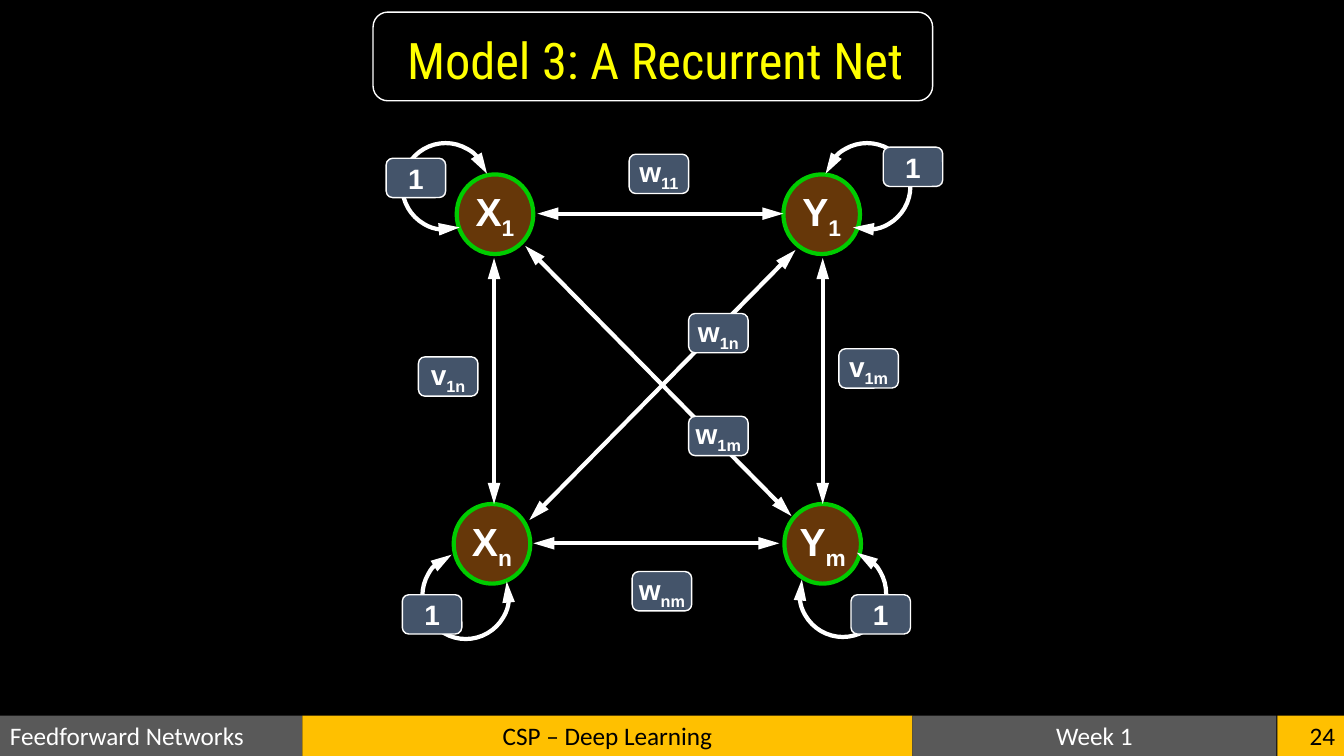
"""Build the slide showing a recurrent net with weighted links."""
from lxml import etree
from pptx import Presentation
from pptx.dml.color import RGBColor
from pptx.enum.shapes import MSO_CONNECTOR, MSO_SHAPE
from pptx.enum.text import MSO_ANCHOR, PP_ALIGN
from pptx.oxml.ns import qn
from pptx.util import Inches, Pt

RECT, ROUND = MSO_SHAPE.RECTANGLE, MSO_SHAPE.ROUNDED_RECTANGLE
OVAL, ARC = MSO_SHAPE.OVAL, MSO_SHAPE.ARC
STRAIGHT = MSO_CONNECTOR.STRAIGHT
LEFT, CENTER, RIGHT = PP_ALIGN.LEFT, PP_ALIGN.CENTER, PP_ALIGN.RIGHT
TOP, MIDDLE = MSO_ANCHOR.TOP, MSO_ANCHOR.MIDDLE

COLORS = {
    "black": "000000", "white": "FFFFFF", "yellow": "FFFF00", "gray": "595959",
    "gold": "FFC000", "orange": "FF8B17", "green": "00CC00", "slate": "44546A",
}
NODES = [
    (7.77, 1.73, "Y", "1"), (7.78, 5, "Y", "m"),
    (4.53, 1.73, "X", "1"), (4.5, 5, "X", "n"),
]
LINKS = [
    (5.33, 2.12, 7.77, 2.12), (5.29, 5.39, 7.73, 5.39),
    (4.9, 5, 4.9, 2.56), (8.16, 5, 8.16, 2.56),
    (5.25, 5.16, 7.89, 2.48), (7.85, 5.12, 5.21, 2.44),
]
LOOPS = [
    (3.99, 1.42, 71, 343), (4.19, 5.48, 341, 251),
    (7.93, 5.46, 289, 199), (8.17, 1.42, 197, 109),
]
WEIGHTS = [
    (6.24, 1.53, "w", "11"), (6.27, 5.67, "w", "nm"), (8.76, 1.46, "1", ""),
    (8.32, 3.46, "v", "1m"), (4.15, 3.54, "v", "1n"), (6.83, 3.11, "w", "1n"),
    (6.83, 4.13, "w", "1m"), (8.44, 5.9, "1", ""), (3.99, 5.9, "1", ""),
    (3.83, 1.57, "1", ""),
]
FOOTER = [
    (0, 3, "Feedforward Networks", "gray", "white", LEFT),
    (3, 6.05, "CSP – Deep Learning", "gold", "black", CENTER),
    (12.67, 0.67, "24", "gold", "black", RIGHT),
    (9.05, 3.61, "Week 1", "gray", "white", CENTER),
]


def rgb(name):
    """Return the named colour."""
    return RGBColor.from_string(COLORS[name])


def set_text(sp, text, sub="", size=18, font="Arial", color="white",
             bold=False, align=CENTER, anchor=MIDDLE, wrap=False):
    """Write text with an optional subscript into a shape."""
    tf = sp.text_frame
    tf.word_wrap = wrap
    tf.vertical_anchor = anchor
    p = tf.paragraphs[0]
    p.alignment = align
    for part, baseline in ((text, 0), (sub, -25000)):
        if not part:
            continue
        r = p.add_run()
        r.text = part
        r.font.size = Pt(size)
        r.font.name = font
        r.font.bold = bold
        r.font.color.rgb = rgb(color)
        if baseline:
            r._r.get_or_add_rPr().set("baseline", str(baseline))


def add_box(s, kind, x, y, w, h, fill, line=None, width=1):
    """Add a filled preset shape with an optional outline."""
    sp = s.shapes.add_shape(kind, Inches(x), Inches(y), Inches(w), Inches(h))
    sp.shadow.inherit = False
    sp.fill.solid()
    sp.fill.fore_color.rgb = rgb(fill)
    if line:
        sp.line.color.rgb = rgb(line)
        sp.line.width = Pt(width)
    else:
        sp.line.fill.background()
    return sp


def style_arrow(sp):
    """Give a line white ink, no shadow and a long arrowhead at both ends."""
    sp.line.color.rgb = rgb("white")
    sp.line.width = Pt(3)
    spPr = sp._element.spPr
    ln = spPr.find(qn("a:ln"))
    for end in ("a:headEnd", "a:tailEnd"):
        etree.SubElement(ln, qn(end), type="triangle", w="med", len="lg")
    etree.SubElement(spPr, qn("a:effectLst"))


def add_node(s, x, y, letter, sub):
    """Add a neuron as a translucent circle."""
    sp = add_box(s, OVAL, x, y, 0.76, 0.79, "orange", "green", 3)
    color = sp._element.spPr.find(qn("a:solidFill"))[0]
    etree.SubElement(color, qn("a:alpha"), val="40000")
    set_text(sp, letter, sub, size=28, bold=True)


def add_link(s, x1, y1, x2, y2):
    """Add a two-way link between neurons."""
    style_arrow(s.shapes.add_connector(
        STRAIGHT, Inches(x1), Inches(y1), Inches(x2), Inches(y2)))


def add_loop(s, x, y, start, end):
    """Add a self-loop running clockwise between two angles in degrees."""
    sp = s.shapes.add_shape(ARC, Inches(x), Inches(y), Inches(0.86), Inches(0.86))
    for i, angle in enumerate((start, end)):
        sp.adjustments[i] = angle * 0.6
    sp.fill.background()
    style_arrow(sp)


def add_weight(s, x, y, letter, sub):
    """Add a weight label."""
    sp = add_box(s, ROUND, x, y, 0.59, 0.39, "slate", "white")
    set_text(sp, letter, sub, size=20, bold=True)


def add_footer(s, x, w, text, fill, color, align):
    """Add one segment of the footer bar."""
    sp = add_box(s, RECT, x, 7.1, w, 0.4, fill)
    set_text(sp, text, font="Calibri", color=color, align=align, wrap=True)


def add_title(s, text):
    """Add the framed title."""
    add_box(s, ROUND, 3.7, 0.12, 5.55, 0.88, "black", "white")
    sp = s.shapes.add_textbox(Inches(3.86), Inches(0.24), Inches(5.28), Inches(0.62))
    set_text(sp, text, size=36, font="Roboto Condensed", color="yellow", anchor=TOP)


def main():
    """Build and save the slide."""
    prs = Presentation()
    prs.slide_width, prs.slide_height = Inches(13.33), Inches(7.5)
    s = prs.slides.add_slide(prs.slide_layouts[6])
    s.background.fill.solid()
    s.background.fill.fore_color.rgb = rgb("black")
    for segment in FOOTER:
        add_footer(s, *segment)
    add_title(s, "Model 3: A Recurrent Net")
    for add, items in ((add_node, NODES), (add_link, LINKS),
                       (add_loop, LOOPS), (add_weight, WEIGHTS)):
        for item in items:
            add(s, *item)
    prs.save("out.pptx")


if __name__ == "__main__":
    main()
